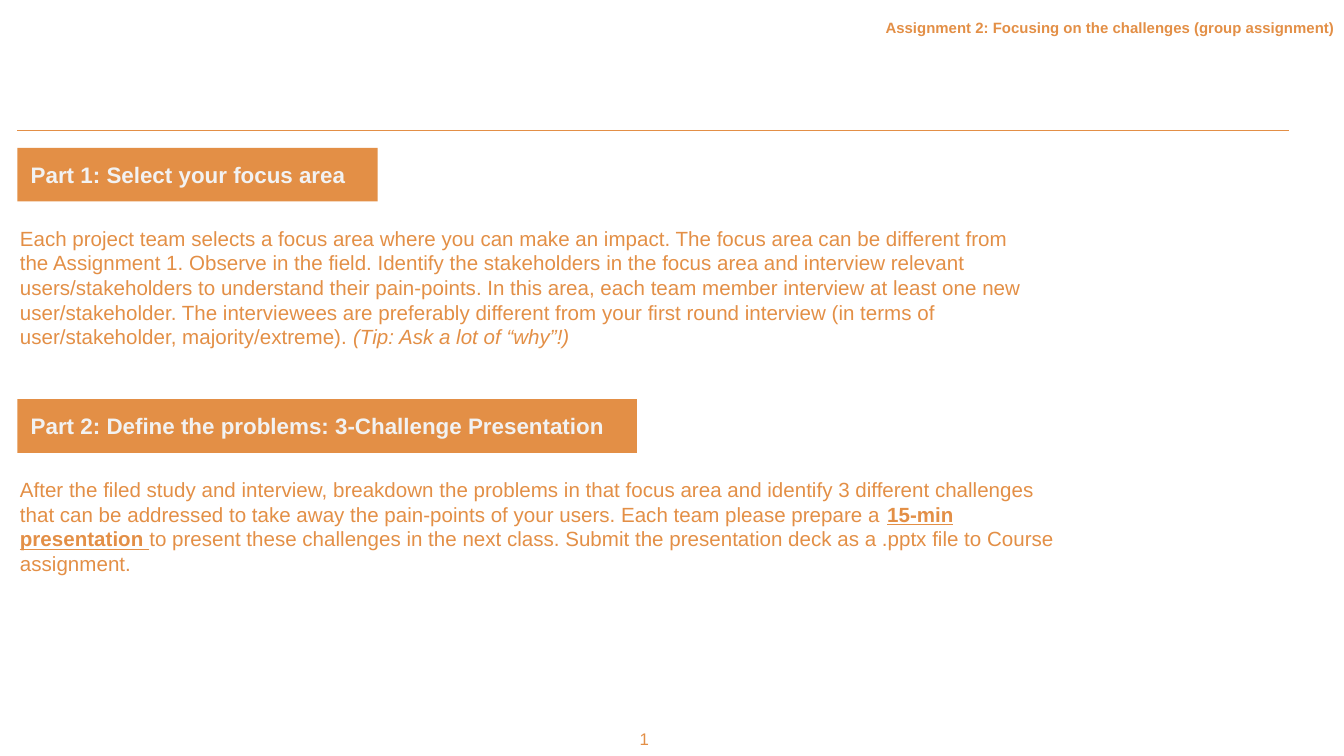
from pptx import Presentation
from pptx.dml.color import RGBColor
from pptx.enum.shapes import MSO_CONNECTOR, MSO_SHAPE
from pptx.enum.text import MSO_ANCHOR, MSO_AUTO_SIZE, PP_ALIGN
from pptx.oxml.ns import qn
from pptx.util import Inches, Pt
from lxml.etree import SubElement

ORANGE = RGBColor(0xE3, 0x8F, 0x46)
PALE = RGBColor(0xF2, 0xF2, 0xF2)
WIDTH = 10
HEIGHT = WIDTH * 9 / 16
LEFT = 0.13  # left edge of the rule and headings
BODY_LEFT = 0.05
HEADING_HEIGHT = 0.4
BODY_GAP = 0.08  # between a heading and its body

# Each part: top, heading, heading width, body width, body height, runs (text, styles)
PARTS = [
    (1.1, "Part 1: Select your focus area", 2.68, 7.7, 1.13, [
        ("Each project team selects a focus area where you can make an impact. "
         "The focus area can be different from the Assignment 1. Observe in the field. "
         "Identify the stakeholders in the focus area and interview relevant "
         "users/stakeholders to understand their pain-points. In this area, each team "
         "member interview at least one new user/stakeholder. The interviewees are "
         "preferably different from your first round interview (in terms of "
         "user/stakeholder, majority/extreme).", ()),
        (" (Tip: Ask a lot of “why”!)", ("italic",)),
    ]),
    (2.97, "Part 2: Define the problems: 3-Challenge Presentation", 4.61, 8.05, 0.76, [
        ("After the filed study and interview, breakdown the problems in that focus area "
         "and identify 3 different challenges that can be addressed to take away the "
         "pain-points of your users. Each team please prepare a ", ()),
        ("15-min presentation", ("bold", "underline")),
        (" ", ("underline",)),
        ("to present these challenges in the next class. Submit the presentation deck as "
         "a .pptx file to Course assignment.", ()),
    ]),
]


def write_text(shape, runs, size, color=ORANGE, bold=None, align=PP_ALIGN.LEFT,
               anchor=MSO_ANCHOR.TOP, auto_size=MSO_AUTO_SIZE.SHAPE_TO_FIT_TEXT):
    frame = shape.text_frame
    frame.word_wrap = True
    frame.auto_size = auto_size
    frame.vertical_anchor = anchor
    frame.margin_left = frame.margin_right = Inches(0.1)
    frame.margin_top = frame.margin_bottom = Inches(0.1)
    paragraph = frame.paragraphs[0]
    paragraph.alignment = align
    font = paragraph.font
    font.name, font.size, font.bold = "Arial", Pt(size), bold
    font.color.rgb = color
    for text, styles in runs:
        run = paragraph.add_run()
        run.text = text
        for style in styles:
            setattr(run.font, style, True)


def add_text(slide, box, runs, size, **options):
    text_box = slide.shapes.add_textbox(*map(Inches, box))
    write_text(text_box, runs, size, **options)


def add_header(slide, box):
    left, top, width, height = box
    # Running title
    add_text(slide, (6.49, top, 4.92, 0.34),
             [("Assignment 2: Focusing on the challenges (group assignment)", ())],
             8, bold=True)
    # Rule under the header
    bottom = top + height
    rule = slide.shapes.add_connector(
        MSO_CONNECTOR.STRAIGHT,
        *map(Inches, (left, bottom, left + width, bottom)))
    rule.line.color.rgb = ORANGE
    rule.line.width = Pt(0.75)
    SubElement(rule._element.spPr, qn("a:effectLst"))


def add_part(slide, top, heading, heading_width, body_width, body_height, runs):
    # Heading bar
    bar = slide.shapes.add_shape(
        MSO_SHAPE.RECTANGLE,
        *map(Inches, (LEFT, top, heading_width, HEADING_HEIGHT)))
    bar.shadow.inherit = False
    bar.fill.solid()
    bar.fill.fore_color.rgb = ORANGE
    bar.line.fill.background()
    write_text(bar, [(heading, ())], 12, color=PALE, bold=True,
               anchor=MSO_ANCHOR.MIDDLE)
    # Body text
    body_top = top + HEADING_HEIGHT + BODY_GAP
    add_text(slide, (BODY_LEFT, body_top, body_width, body_height), runs, 11)


def add_page_number(slide, box):
    add_text(slide, box, [("1", ())], 9, align=PP_ALIGN.CENTER,
             anchor=MSO_ANCHOR.MIDDLE, auto_size=MSO_AUTO_SIZE.NONE)


def main():
    presentation = Presentation()
    presentation.slide_width = Inches(WIDTH)
    presentation.slide_height = Inches(HEIGHT)
    slide = presentation.slides.add_slide(presentation.slide_layouts[6])
    add_header(slide, (LEFT, 0.07, 9.46, 0.9))
    for part in PARTS:
        add_part(slide, *part)
    add_page_number(slide, (4.66, 5.32, 0.27, 0.36))
    presentation.save("out.pptx")


if __name__ == "__main__":
    main()
